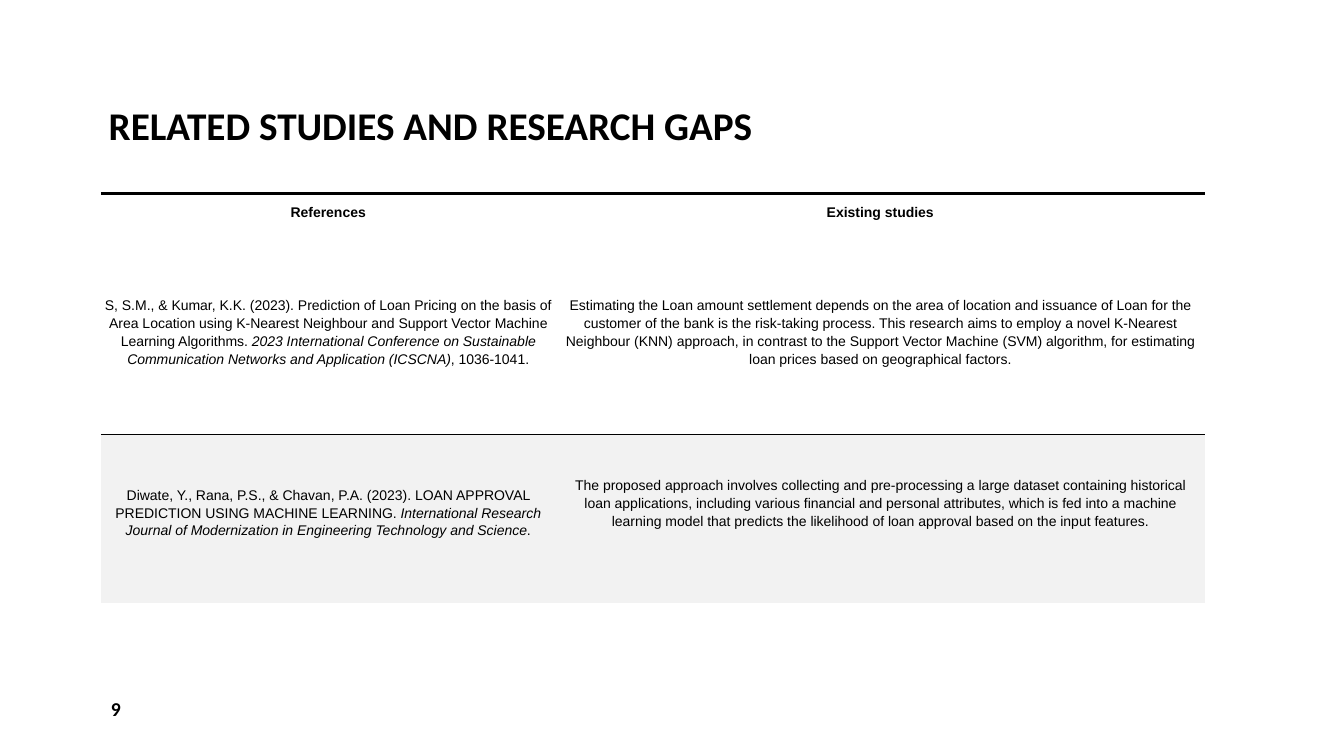
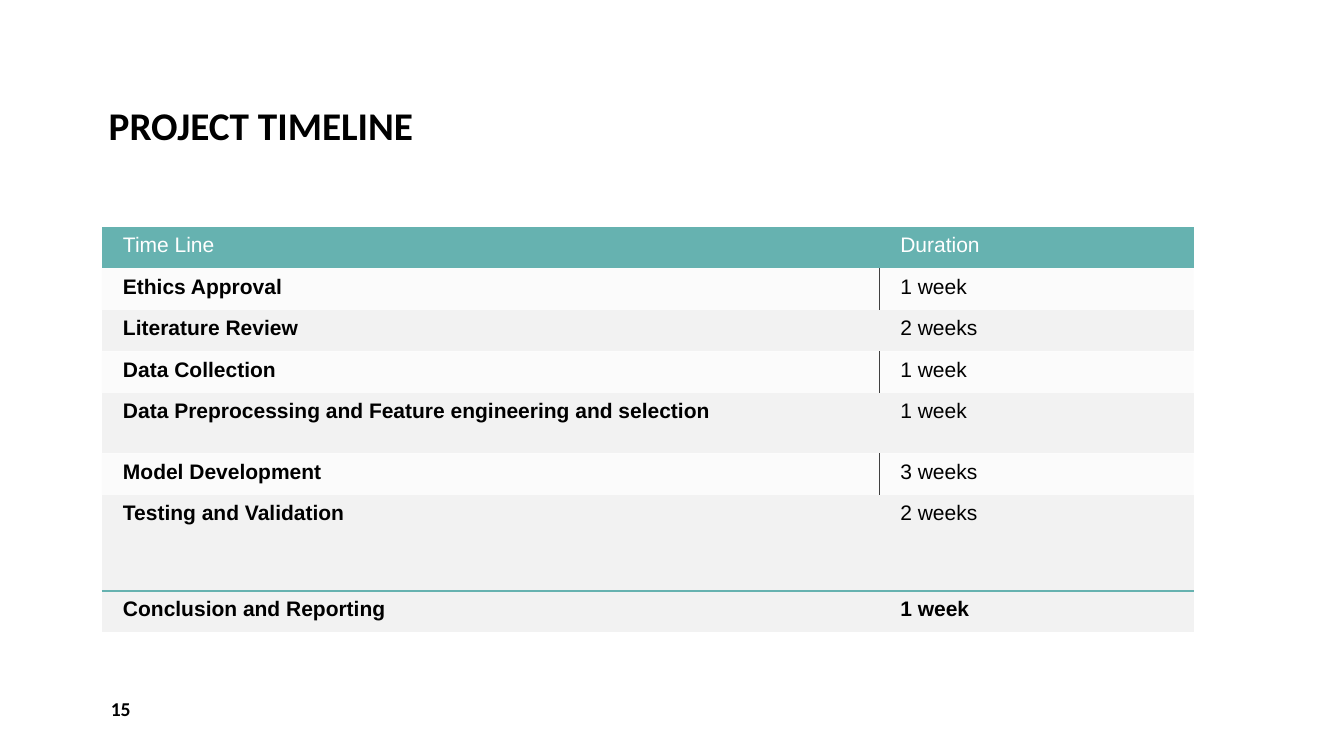
from lxml.etree import SubElement
from pptx import Presentation
from pptx.dml.color import RGBColor
from pptx.enum.text import MSO_ANCHOR, PP_ALIGN
from pptx.oxml.ns import qn
from pptx.util import Inches, Pt

BLACK, WHITE, TEAL = "000000", "FFFFFF", "66B2B0"
GRAY, DARK_GRAY = "F2F2F2", "404040"
HEADING_FONT, BODY_FONT = "Calibri", "Arial"
NO_STYLE = "{2D5ABB26-0587-4C30-8999-92F81FD0307C}"
PALE_OPACITY = 30

STUDIES_TITLE, STUDIES_NUMBER = "RELATED STUDIES AND RESEARCH GAPS", "9"
STUDIES_COLUMNS = [4.56, 6.39]
STUDIES_HEIGHTS = [0.48, 1.91, 1.67]
STUDIES = [
    [["References"], ["Existing studies"]],
    [
        ["S, S.M., & Kumar, K.K. (2023). Prediction of Loan Pricing on the basis of Area "
         "Location using K-Nearest Neighbour and Support Vector Machine Learning Algorithms. ",
         "2023 International Conference on Sustainable Communication Networks and "
         "Application (ICSCNA)",
         ", 1036-1041."],
        ["Estimating the Loan amount settlement depends on the area of location and issuance "
         "of Loan for the customer of the bank is the risk-taking process. This research aims "
         "to employ a novel K-Nearest Neighbour (KNN) approach, in contrast to the Support "
         "Vector Machine (SVM) algorithm, for estimating loan prices based on geographical "
         "factors."],
    ],
    [
        ["Diwate, Y., Rana, P.S., & Chavan, P.A. (2023). LOAN APPROVAL PREDICTION USING "
         "MACHINE LEARNING. ",
         "International Research Journal of Modernization in Engineering Technology and Science",
         "."],
        ["The proposed approach involves collecting and pre-processing a large dataset "
         "containing historical loan applications, including various financial and personal "
         "attributes, which is fed into a machine learning model that predicts the likelihood "
         "of loan approval based on the input features."],
    ],
]

TIMELINE_TITLE, TIMELINE_NUMBER = "PROJECT TIMELINE", "15"
TIMELINE_COLUMNS = [7.71, 3.12]
TIMELINE_HEIGHTS = [0.41, 0.41, 0.41, 0.41, 0.6, 0.41, 0.95, 0.41]
TIMELINE = [
    ("Time Line", "Duration"),
    ("Ethics Approval", "1 week"),
    ("Literature Review", "2 weeks"),
    ("Data Collection", "1 week"),
    ("Data Preprocessing and Feature engineering and selection", "1 week"),
    ("Model Development", "3 weeks"),
    ("Testing and Validation", "2 weeks"),
    ("Conclusion and Reporting", "1 week"),
]


def color(value):
    return RGBColor.from_string(value)


def add_span(para, text, size, font, ink=BLACK, bold=False, italic=False):
    span = para.add_run()
    span.text = text
    span.font.size = Pt(size)
    span.font.name = font
    span.font.bold = bold
    span.font.italic = italic
    span.font.color.rgb = color(ink)


def add_label(page, text, place, size, anchor):
    box = page.shapes.add_textbox(*[Inches(length) for length in place])
    frame = box.text_frame
    frame.word_wrap = True
    frame.vertical_anchor = anchor
    add_span(frame.paragraphs[0], text, size, HEADING_FONT, bold=True)
    return frame.paragraphs[0]


def add_page(deck, title, number):
    page = deck.slides.add_slide(deck.slide_layouts[6])
    heading = add_label(page, title, (0.98, 0.08, 11.38, 1.45), 28, MSO_ANCHOR.BOTTOM)
    heading.line_spacing = 0.9
    add_label(page, number, (1, 6.83, 2.92, 0.4), 14, MSO_ANCHOR.MIDDLE)
    return page


def add_grid(page, left, top, widths, heights):
    frame = page.shapes.add_table(
        len(heights), len(widths), Inches(left), Inches(top),
        Inches(sum(widths)), Inches(sum(heights)))
    table = frame.table
    table.first_row = table.horz_banding = False
    table._tbl.tblPr.find(qn("a:tableStyleId")).text = NO_STYLE
    for column, width in zip(table.columns, widths):
        column.width = Inches(width)
    for row, height in zip(table.rows, heights):
        row.height = Inches(height)
    return table


def style_cell(cell, insets, anchor, borders, fill=None, opacity=100):
    cell.margin_left, cell.margin_top, cell.margin_right, cell.margin_bottom = [
        Inches(inset) for inset in insets]
    cell.vertical_anchor = anchor
    properties = cell._tc.get_or_add_tcPr()
    for side in "LRTB":
        if side in borders:
            ink, width = borders[side]
            line = SubElement(properties, qn(f"a:ln{side}"), w=str(Pt(width)))
            SubElement(SubElement(line, qn("a:solidFill")), qn("a:srgbClr"), val=ink)
    if fill is None:
        cell.fill.background()
        return
    cell.fill.solid()
    cell.fill.fore_color.rgb = color(fill)
    if opacity < 100:
        shade = properties.find(qn("a:solidFill")).find(qn("a:srgbClr"))
        SubElement(shade, qn("a:alpha"), val=str(opacity * 1000))


def add_studies(deck):
    page = add_page(deck, STUDIES_TITLE, STUDIES_NUMBER)
    table = add_grid(page, 1, 1.92, STUDIES_COLUMNS, STUDIES_HEIGHTS)
    thin = (BLACK, 0.5)
    row_borders = [{"T": (BLACK, 2.25)}, {"B": thin}, {"T": thin}]
    row_fills = [None, None, GRAY]
    last = len(STUDIES) - 1
    for r, row in enumerate(STUDIES):
        for c, parts in enumerate(row):
            cell = table.cell(r, c)
            bottom = 0.33 if (r, c) == (last, 1) else 0.15
            style_cell(cell, (0, 0.02, 0.05, bottom), MSO_ANCHOR.MIDDLE,
                       row_borders[r], row_fills[r])
            para = cell.text_frame.paragraphs[0]
            para.alignment = PP_ALIGN.CENTER
            para.line_spacing = 1.15
            for i, text in enumerate(parts):
                add_span(para, text, 10, BODY_FONT, bold=r == 0, italic=i == 1)


def add_timeline(deck):
    page = add_page(deck, TIMELINE_TITLE, TIMELINE_NUMBER)
    table = add_grid(page, 1.01, 2.25, TIMELINE_COLUMNS, TIMELINE_HEIGHTS)
    last = len(TIMELINE) - 1
    for r, row in enumerate(TIMELINE):
        header = r == 0
        pale = r % 2 == 1 and r < last
        for c, text in enumerate(row):
            borders = {}
            if pale:
                borders["RL"[c]] = (DARK_GRAY, 0.5)
            if r >= last - 1:
                borders["T" if r == last else "B"] = (TEAL, 1.5)
            cell = table.cell(r, c)
            style_cell(cell, (0.14, 0.11, 0, 0.11),
                       MSO_ANCHOR.MIDDLE if header else MSO_ANCHOR.TOP, borders,
                       TEAL if header else GRAY, PALE_OPACITY if pale else 100)
            para = cell.text_frame.paragraphs[0]
            para.line_spacing = Pt(13.8)
            para._p.get_or_add_pPr().set("marL", str(Inches(0.07)))
            add_span(para, text, 15, BODY_FONT, WHITE if header else BLACK,
                     bold=not header and (c == 0 or r == last))


def main():
    deck = Presentation()
    deck.slide_width, deck.slide_height = Inches(13.33), Inches(7.5)
    add_studies(deck)
    add_timeline(deck)
    deck.save("out.pptx")


if __name__ == "__main__":
    main()
